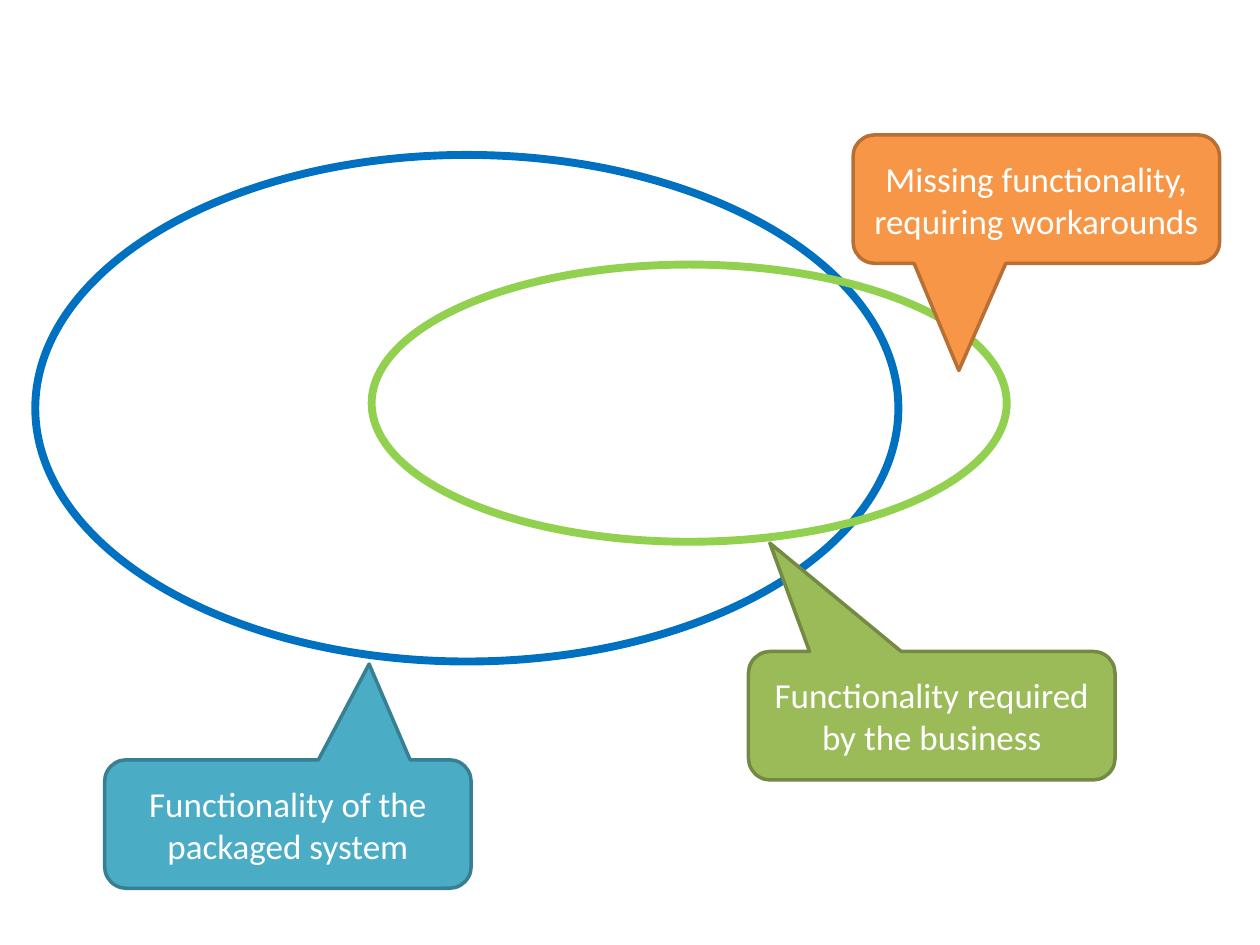
from dataclasses import dataclass

import pptx
import pptx.dml.color
import pptx.enum.shapes
import pptx.enum.text
import pptx.util
from pptx.util import Inches

CALLOUT_WIDTH, CALLOUT_HEIGHT = 2.91, 1.02
CORNER_RADIUS = 0.17


@dataclass(frozen=True)
class Scope:
    left: float
    top: float
    width: float
    height: float
    line: str


@dataclass(frozen=True)
class Callout:
    text: str
    left: float
    top: float
    tip_x: float
    tip_y: float
    fill: str
    line: str


SCOPES = [
    Scope(0.28, 1.23, 6.85, 4.02, "0070C0"),
    Scope(2.95, 2.1, 5.04, 2.2, "92D050"),
]
CALLOUTS = [
    Callout("Functionality of the packaged system", 0.83, 6.03, 2.93, 5.27, "4BACC6", "377F92"),
    Callout("Functionality required by the business", 5.94, 5.17, 6.11, 4.31, "9BBB59", "738A42"),
    Callout("Missing functionality, requiring workarounds", 6.77, 1.07, 7.61, 2.94, "F79646", "B76F34"),
]


def color(value: str) -> pptx.dml.color.RGBColor:
    """Turn a hex string into a colour."""
    return pptx.dml.color.RGBColor.from_string(value)


def set_outline(shape, value: str, width: float) -> None:
    """Give a shape a solid outline and no shadow."""
    shape.shadow.inherit = False
    shape.line.color.rgb = color(value)
    shape.line.width = pptx.util.Pt(width)


def draw_scope(slide, scope: Scope) -> None:
    """Draw a hollow ellipse for one set of functionality."""
    shape = slide.shapes.add_shape(
        pptx.enum.shapes.MSO_SHAPE.OVAL,
        Inches(scope.left), Inches(scope.top), Inches(scope.width), Inches(scope.height),
    )
    shape.fill.background()
    set_outline(shape, scope.line, 4.5)


def draw_callout(slide, callout: Callout) -> None:
    """Draw a labelled callout whose tip lies at the given slide position."""
    shape = slide.shapes.add_shape(
        pptx.enum.shapes.MSO_SHAPE.ROUNDED_RECTANGULAR_CALLOUT,
        Inches(callout.left), Inches(callout.top), Inches(CALLOUT_WIDTH), Inches(CALLOUT_HEIGHT),
    )
    shape.adjustments[0] = (callout.tip_x - callout.left) / CALLOUT_WIDTH - 0.5
    shape.adjustments[1] = (callout.tip_y - callout.top) / CALLOUT_HEIGHT - 0.5
    shape.adjustments[2] = CORNER_RADIUS
    shape.fill.solid()
    shape.fill.fore_color.rgb = color(callout.fill)
    set_outline(shape, callout.line, 2)
    frame = shape.text_frame
    frame.word_wrap = True
    frame.vertical_anchor = pptx.enum.text.MSO_ANCHOR.MIDDLE
    paragraph = frame.paragraphs[0]
    paragraph.alignment = pptx.enum.text.PP_ALIGN.CENTER
    run = paragraph.add_run()
    run.text = callout.text
    for name, value in {"name": "Calibri", "size": pptx.util.Pt(20)}.items():
        setattr(run.font, name, value)
    run.font.color.rgb = color("FFFFFF")


def main() -> None:
    """Build the functionality overlap slide."""
    presentation = pptx.Presentation()
    presentation.slide_width, presentation.slide_height = Inches(10), Inches(7.5)
    slide = presentation.slides.add_slide(presentation.slide_layouts[6])
    for scope in SCOPES:
        draw_scope(slide, scope)
    for callout in CALLOUTS:
        draw_callout(slide, callout)
    presentation.save("out.pptx")


if __name__ == "__main__":
    main()
